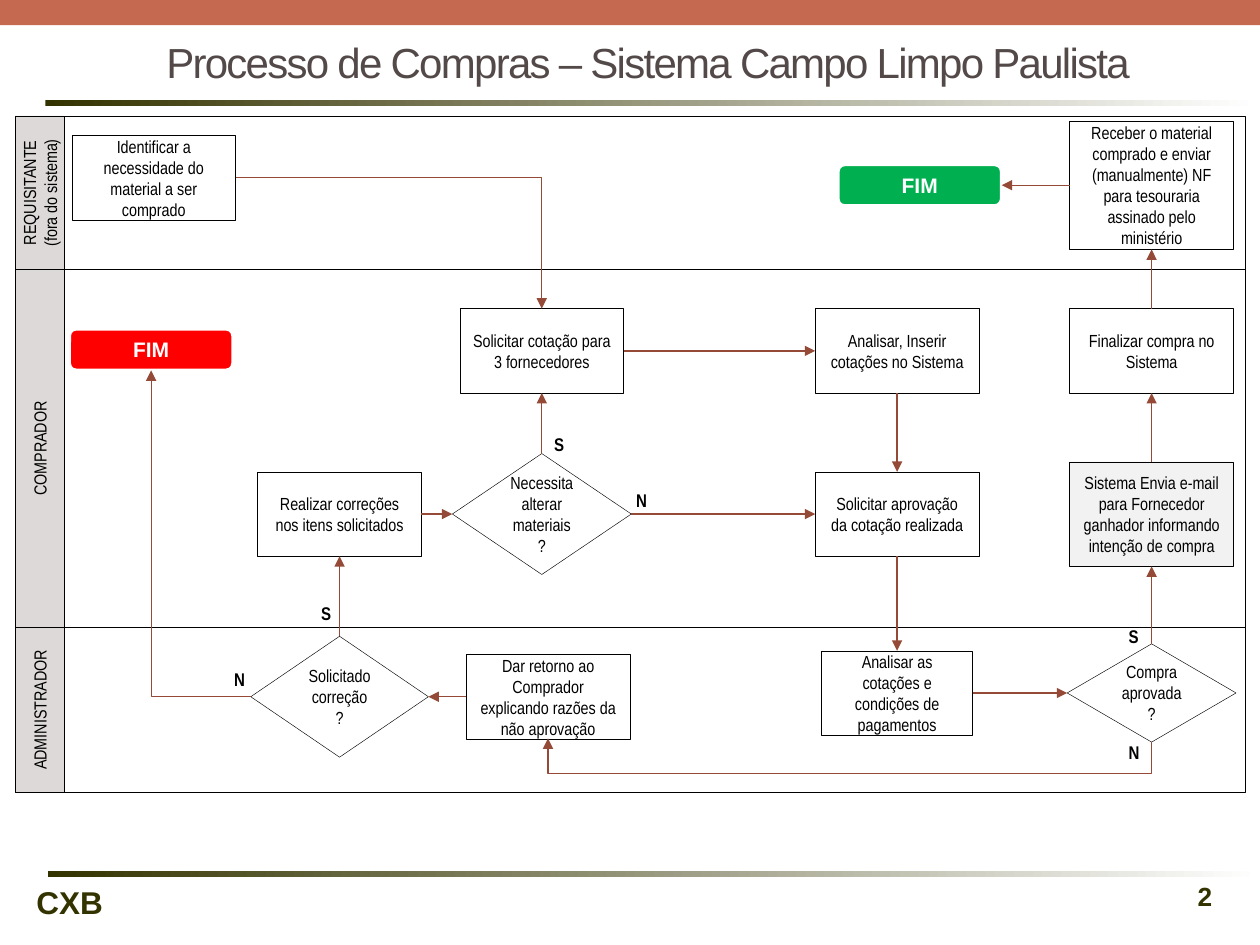
from itertools import pairwise

from lxml import etree
from pptx import Presentation
from pptx.dml.color import RGBColor
from pptx.enum.shapes import MSO_CONNECTOR, MSO_SHAPE
from pptx.enum.text import MSO_ANCHOR, MSO_AUTO_SIZE, PP_ALIGN
from pptx.oxml.ns import qn
from pptx.util import Inches, Pt

RECT, ROUND, DIAMOND = MSO_SHAPE.RECTANGLE, MSO_SHAPE.ROUNDED_RECTANGLE, MSO_SHAPE.DIAMOND
STRAIGHT, ELBOW = MSO_CONNECTOR.STRAIGHT, MSO_CONNECTOR.ELBOW
LEFT, CENTER, RIGHT = PP_ALIGN.LEFT, PP_ALIGN.CENTER, PP_ALIGN.RIGHT
MIDDLE, TOP = MSO_ANCHOR.MIDDLE, MSO_ANCHOR.TOP
NO_FIT = MSO_AUTO_SIZE.NONE
SITES = {"top": 0, "left": 1, "bottom": 2, "right": 3}
COLORS = {
    "ink": "000000", "white": "FFFFFF", "band": "C66951", "olive": "333300",
    "title": "534949", "lane": "DED9D9", "system": "F2F2F2", "arrow": "944A37",
    "rejected": "FF0000", "done": "00B050",
}


def color(name):
    return RGBColor.from_string(COLORS[name])


def grid(units):
    return Inches(round(units / 10, 3))


class FlowSlide:
    body_font, head_font = "Arial Narrow", "Arial"

    def __init__(self, deck):
        self.slide = deck.slides.add_slide(deck.slide_layouts[5])
        self.shapes = self.slide.shapes

    def add_lines(self, frame, lines, size=10, ink="ink", font=None, bold=False,
                  align=CENTER, anchor=MIDDLE, wrap=True):
        frame.word_wrap = wrap
        frame.vertical_anchor = anchor
        for index, line in enumerate(lines):
            paragraph = frame.add_paragraph() if index else frame.paragraphs[0]
            paragraph.alignment = align
            run = paragraph.add_run()
            run.text = line
            run.font.name = font or self.body_font
            run.font.size = Pt(size)
            run.font.bold = bold
            run.font.color.rgb = color(ink)

    def title(self, text, col, row, cols, rows):
        holder = self.shapes.title
        holder.left, holder.top = grid(col), grid(row)
        holder.width, holder.height = grid(cols), grid(rows)
        self.add_lines(holder.text_frame, [text], 24, "title", self.head_font, align=LEFT)
        holder.text_frame.auto_size = NO_FIT
        run = holder.text_frame.paragraphs[0].runs[0]
        run.font._element.set("spc", "-100")

    def block(self, kind, col, row, cols, rows, fill=None, line=None, weight=0.25):
        block = self.shapes.add_shape(kind, grid(col), grid(row), grid(cols), grid(rows))
        block.shadow.inherit = False
        if fill:
            block.fill.solid()
            block.fill.fore_color.rgb = color(fill)
        else:
            block.fill.background()
        if line:
            block.line.color.rgb = color(line)
            block.line.width = Pt(weight)
        else:
            block.line.fill.background()
        return block

    def rule(self, col, row):
        rule = self.block(RECT, col, row, 96.2, 0.5)
        rule.fill.gradient()
        rule.fill.gradient_angle = 0
        for stop, name in zip(rule.fill.gradient_stops, ("olive", "white")):
            stop.color.rgb = color(name)

    def lane(self, top, bottom, lines):
        self.block(RECT, 1.2, top, 97.6, bottom - top, line="ink")
        header = self.block(RECT, 1.2, top, 3.9, bottom - top, "lane", "ink")
        self.add_lines(header.text_frame, lines)
        header.text_frame._txBody.bodyPr.set("vert", "vert270")

    def step(self, x, y, lines, cols=13, rows=6.7, kind=RECT, fill=None):
        step = self.block(kind, x - cols / 2, y - rows / 2, cols, rows, fill, "ink")
        self.add_lines(step.text_frame, lines)
        return step

    def finish(self, x, y, fill):
        finish = self.block(ROUND, x - 6.5, y - 1.65, 13, 3.3, fill, "white", 2)
        self.add_lines(finish.text_frame, ["FIM"], 12, "white", self.head_font, True)
        return finish

    def label(self, text, col, row, cols=2.8, rows=2.8, **style):
        box = self.shapes.add_textbox(grid(col), grid(row), grid(cols), grid(rows))
        self.add_lines(box.text_frame, [text], bold=True, anchor=TOP, **style)

    def connector(self, kind, x1=0, y1=0, x2=0, y2=0):
        arrow = self.shapes.add_connector(kind, grid(x1), grid(y1), grid(x2), grid(y2))
        arrow.line.color.rgb = color("arrow")
        arrow.line.width = Pt(0.75)
        etree.SubElement(arrow.line._get_or_add_ln(), qn("a:tailEnd"), type="triangle")
        etree.SubElement(arrow._element.spPr, qn("a:effectLst"))
        return arrow

    def arrow(self, source, leave, target, enter, bent=False):
        arrow = self.connector(ELBOW if bent else STRAIGHT)
        arrow.begin_connect(source, SITES[leave])
        arrow.end_connect(target, SITES[enter])
        if bent:
            arrow._element.spPr.find(qn("a:prstGeom")).set("prst", "bentConnector2")

    def loop_below(self, x1, y1, x2, y2, floor):
        mid_x, mid_y = (x1 + x2) / 2, (y1 + y2) / 2
        rise, span = y1 - y2, x1 - x2
        arrow = self.connector(ELBOW, mid_x + rise / 2, mid_y - span / 2,
                               mid_x - rise / 2, mid_y + span / 2)
        properties = arrow._element.spPr
        properties.find(qn("a:xfrm")).set("rot", "5400000")
        geometry = properties.find(qn("a:prstGeom"))
        for old in list(geometry):
            geometry.remove(old)
        adjust = etree.SubElement(geometry, qn("a:avLst"))
        bend = round(-(floor - y1) / rise * 100000)
        etree.SubElement(adjust, qn("a:gd"), name="adj1", fmla=f"val {bend}")


deck = Presentation()
deck.slide_width, deck.slide_height = grid(100), grid(75)
flow = FlowSlide(deck)

flow.block(RECT, 0, 0, 100, 2, "band")
flow.rule(3.8, 69.1)
flow.rule(3.6, 7.9)
flow.title("Processo de Compras – Sistema Campo Limpo Paulista", 12.2, 1.7, 79.9, 6.4)
footer = {"ink": "olive", "font": flow.head_font}
flow.label("2", 91.6, 69.4, 5.6, 3.3, size=15, align=RIGHT, **footer)
flow.label("CXB", 1.9, 69.6, 7.4, 4, size=18, align=LEFT, wrap=False, **footer)

lane_edges = pairwise((9.2, 21.4, 49.8, 62.9))
lane_names = (["REQUISITANTE", "(fora do sistema)"], ["COMPRADOR"], ["ADMINISTRADOR"])
for (top, bottom), name in zip(lane_edges, lane_names):
    flow.lane(top, bottom, name)

FIX, QUOTE, REVIEW, CLOSE = 26.95, 43, 71.2, 91.4
QUOTE_ROW, APPROVAL_ROW, RETURN_ROW, DECISION_ROW = 27.85, 40.8, 55.3, 55

need = flow.step(12.2, 14.1, ["Identificar a necessidade do material a ser comprado"])
quote = flow.step(QUOTE, QUOTE_ROW, ["Solicitar cotação para 3 fornecedores"])
enter = flow.step(REVIEW, QUOTE_ROW, ["Analisar, Inserir cotações no Sistema"])
close = flow.step(CLOSE, QUOTE_ROW, ["Finalizar compra no Sistema"])
fix = flow.step(FIX, APPROVAL_ROW, ["Realizar correções nos itens solicitados"])
change = flow.step(QUOTE, APPROVAL_ROW, ["Necessita alterar materiais", "?"], 14.2, 9.6, DIAMOND)
approval = flow.step(REVIEW, APPROVAL_ROW, ["Solicitar aprovação da cotação realizada"])
email = flow.step(CLOSE, APPROVAL_ROW, [
    "Sistema Envia e-mail para Fornecedor ganhador informando intenção de compra"],
    rows=8.3, fill="system")
receive = flow.step(CLOSE, 14.7, [
    "Receber o material comprado e enviar (manualmente) NF para tesouraria "
    "assinado pelo ministério"], rows=10.2)
correction = flow.step(FIX, RETURN_ROW, ["Solicitado correção", "?"], 14.1, 9.6, DIAMOND)
feedback = flow.step(43.5, RETURN_ROW, [
    "Dar retorno ao Comprador explicando razões da não aprovação"])
analysis = flow.step(REVIEW, DECISION_ROW, [
    "Analisar as cotações e condições de pagamentos"], cols=12)
approved = flow.step(CLOSE, DECISION_ROW, ["Compra", "aprovada?"], 13.4, 7.8, DIAMOND)
rejected = flow.finish(12, 27.75, "rejected")
done = flow.finish(73, 14.7, "done")

for link in (
    (need, "right", quote, "top", True),
    (correction, "left", rejected, "bottom", True),
    (quote, "right", enter, "left"),
    (enter, "bottom", approval, "top"),
    (approval, "bottom", analysis, "top"),
    (analysis, "right", approved, "left"),
    (approved, "top", email, "bottom"),
    (email, "top", close, "bottom"),
    (close, "top", receive, "bottom"),
    (receive, "left", done, "right"),
    (feedback, "left", correction, "right"),
    (correction, "top", fix, "bottom"),
    (fix, "right", change, "left"),
    (change, "top", quote, "bottom"),
    (change, "right", approval, "left"),
):
    flow.arrow(*link)
flow.loop_below(CLOSE, 58.9, 43.5, 58.6, 61.4)

for answer, col, row in (
    ("S", 88.6, 49.1), ("N", 88.6, 58.3), ("S", 24.5, 47.3),
    ("N", 17.6, 52.5), ("S", 43, 33.9), ("N", 49.5, 38.3),
):
    flow.label(answer, col, row, size=10.5, align=LEFT, wrap=False)

deck.save("out.pptx")
